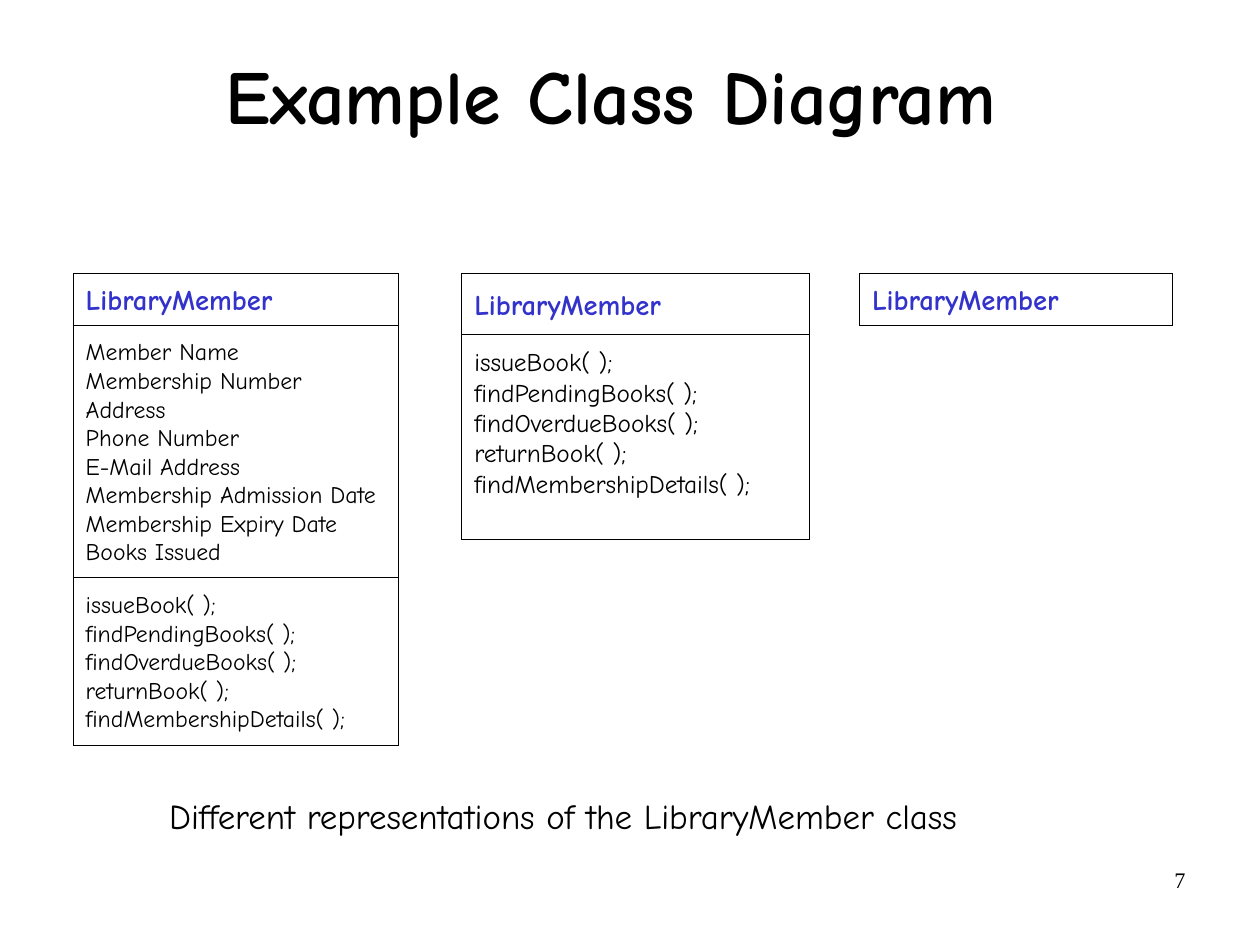
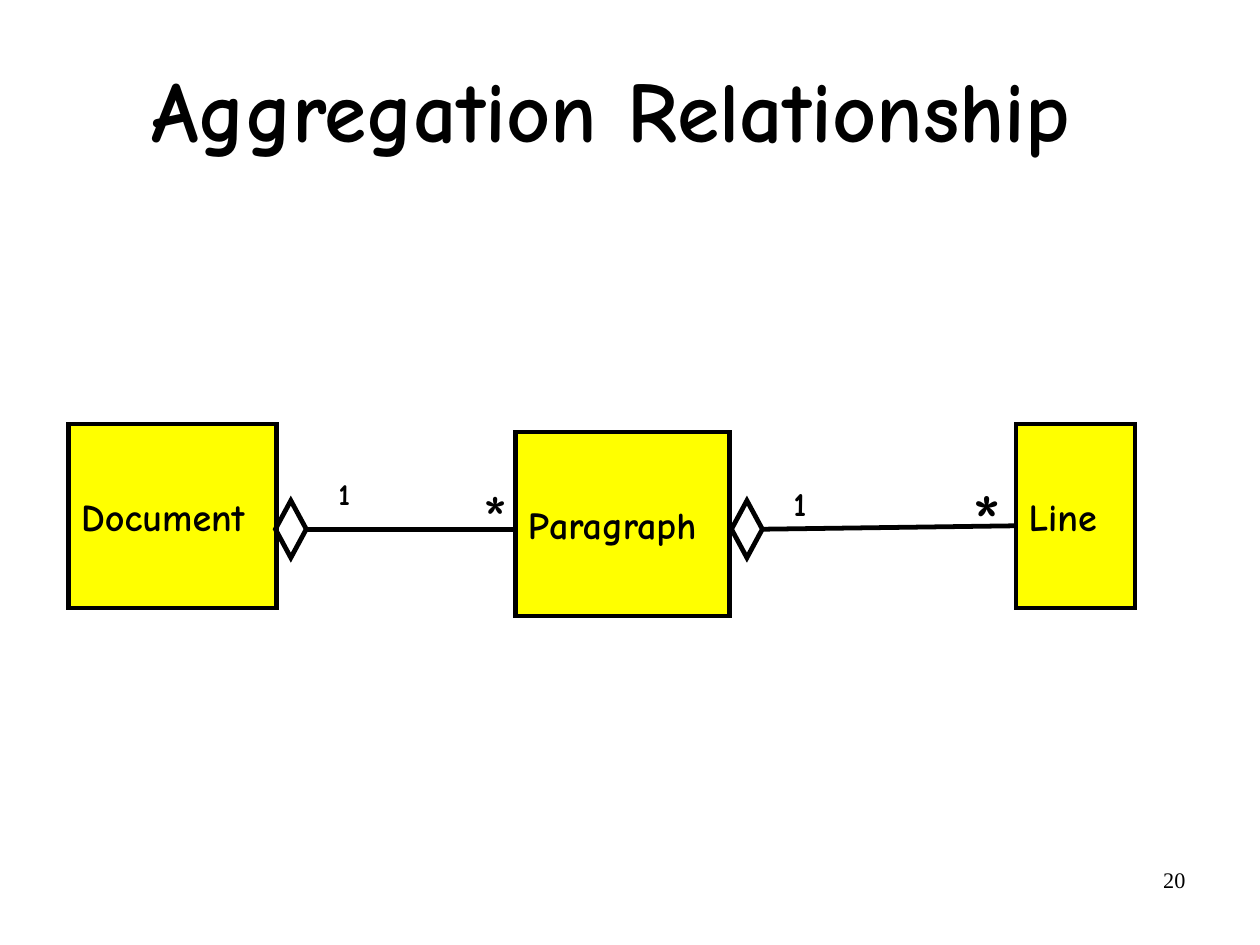
"""Build two slides on UML class diagrams and aggregation."""
from dataclasses import dataclass

from lxml import etree
from pptx import Presentation
from pptx.dml.color import RGBColor
from pptx.enum.shapes import MSO_CONNECTOR as Connector, MSO_SHAPE as Preset
from pptx.enum.text import MSO_ANCHOR as Anchor, PP_ALIGN as Align
from pptx.oxml.ns import qn
from pptx.slide import Slide
from pptx.text.text import TextFrame
from pptx.util import Inches, Pt

COLORS = {"ink": "000000", "class_name": "3333CC", "entity": "FFFF00"}
COMIC = "Comic Neue"
SERIF = "Times New Roman"
CM_PER_INCH = 2.54
PAGE_CM = (28, 21)
BOX_INSETS = (0.11, 0.06, 0.11, 0.06)
NO_INSETS = (0, 0, 0, 0)
CLASS_TOP = 2.39
THIN, THICK = 0.75, 3

ATTRIBUTES = (
    "Member Name",
    "Membership Number",
    "Address",
    "Phone Number",
    "E-Mail Address",
    "Membership Admission Date",
    "Membership Expiry Date",
    "Books Issued",
)
OPERATIONS = (
    "issueBook( );",
    "findPendingBooks( );",
    "findOverdueBooks( );",
    "returnBook( );",
    "findMembershipDetails( );",
)


@dataclass(frozen=True)
class Area:
    """A rectangle in inches."""
    left: float
    top: float
    width: float
    height: float

    def lengths(self) -> tuple[Inches, ...]:
        """Return left, top, width and height as lengths."""
        return tuple(Inches(v) for v in (self.left, self.top, self.width, self.height))


@dataclass(frozen=True)
class TextStyle:
    """The look of a block of text."""
    size: float
    bold: bool = False
    color: str = "ink"
    font: str = COMIC
    align: Align = Align.LEFT
    anchor: Anchor = Anchor.TOP
    insets: tuple[float, ...] = BOX_INSETS
    wrap: bool = True
    line_spacing: float = 1.0


@dataclass(frozen=True)
class Compartment:
    """One section of a class box."""
    height: float
    lines: tuple[str, ...]
    style: TextStyle


@dataclass(frozen=True)
class ClassBox:
    """A class drawn as stacked compartments."""
    left: float
    width: float
    compartments: tuple[Compartment, ...]


@dataclass(frozen=True)
class Entity:
    """A filled box in the aggregation chain."""
    name: str
    area: Area


@dataclass(frozen=True)
class Aggregation:
    """A diamond, its line and the multiplicities at both ends."""
    diamond_left: float
    line_start: tuple[float, float]
    line_end: tuple[float, float]
    one: Area
    one_size: float
    many: Area
    many_size: float


def class_name(height: float) -> Compartment:
    """Return the compartment that names the class."""
    style = TextStyle(18, bold=True, color="class_name", anchor=Anchor.MIDDLE)
    return Compartment(height, ("LibraryMember",), style)


def members(height: float, lines: tuple[str, ...], size: float,
            bottom: float = 0.06) -> Compartment:
    """Return a compartment of attributes or operations."""
    style = TextStyle(size, anchor=Anchor.MIDDLE, insets=(0.11, 0.06, 0.11, bottom))
    return Compartment(height, lines, style)


CLASS_BOXES = (
    ClassBox(0.64, 2.85, (class_name(0.46), members(2.2, ATTRIBUTES, 15),
                          members(1.47, OPERATIONS, 15))),
    ClassBox(4.04, 3.04, (class_name(0.54), members(1.79, OPERATIONS, 16, 0.32))),
    ClassBox(7.52, 2.74, (class_name(0.46),)),
)
ENTITIES = (
    Entity("Document", Area(0.6, 3.71, 1.82, 1.61)),
    Entity("Paragraph", Area(4.51, 3.78, 1.87, 1.61)),
    Entity("Line", Area(8.89, 3.71, 1.04, 1.61)),
)
AGGREGATIONS = (
    Aggregation(2.41, (2.68, 4.63), (4.51, 4.63), Area(2.96, 4.16, 0.1, 0.32), 19,
                Area(4.22, 4.17, 0.23, 0.7), 42),
    Aggregation(6.4, (6.68, 4.63), (8.89, 4.6), Area(6.94, 4.23, 0.12, 0.35), 21,
                Area(8.5, 4.13, 0.27, 0.84), 50),
)


def rgb(key: str) -> RGBColor:
    """Look up a named colour."""
    return RGBColor.from_string(COLORS[key])


def write(frame: TextFrame, lines: tuple[str, ...], style: TextStyle) -> None:
    """Fill a text frame with one paragraph per line."""
    frame.word_wrap = style.wrap
    frame.vertical_anchor = style.anchor
    (frame.margin_left, frame.margin_top,
     frame.margin_right, frame.margin_bottom) = (Inches(v) for v in style.insets)
    frame.text = "\n".join(lines)
    for paragraph in frame.paragraphs:
        paragraph.alignment = style.align
        paragraph.line_spacing = style.line_spacing
        font = paragraph.font
        font.name, font.size, font.bold = style.font, Pt(style.size), style.bold
        font.color.rgb = rgb(style.color)


def add_text(slide: Slide, area: Area, text: str, style: TextStyle) -> None:
    """Add a one-line text box."""
    write(slide.shapes.add_textbox(*area.lengths()).text_frame, (text,), style)


def add_outline(slide: Slide, preset: Preset, area: Area, weight: float,
                fill: str | None = None) -> TextFrame:
    """Add a sharp-cornered outlined shape and return its text frame."""
    outline = slide.shapes.add_shape(preset, *area.lengths())
    outline.shadow.inherit = False
    if fill:
        outline.fill.solid()
        outline.fill.fore_color.rgb = rgb(fill)
    else:
        outline.fill.background()
    outline.line.color.rgb = rgb("ink")
    outline.line.width = Pt(weight)
    border = outline._element.spPr.find(qn("a:ln"))
    etree.SubElement(border, qn("a:miter"), lim="800000")
    return outline.text_frame


def add_class_box(slide: Slide, box: ClassBox) -> None:
    """Stack the compartments of a class box."""
    top = CLASS_TOP
    for part in box.compartments:
        area = Area(box.left, top, box.width, part.height)
        write(add_outline(slide, Preset.RECTANGLE, area, THIN), part.lines, part.style)
        top += part.height


def add_aggregation(slide: Slide, link: Aggregation) -> None:
    """Draw an aggregation with its multiplicities."""
    diamond = Area(link.diamond_left, 4.38, 0.27, 0.5)
    add_outline(slide, Preset.FLOWCHART_DECISION, diamond, THICK)
    ends = (Inches(v) for v in link.line_start + link.line_end)
    line = slide.shapes.add_connector(Connector.STRAIGHT, *ends)
    line.line.color.rgb = rgb("ink")
    line.line.width = Pt(THICK)
    etree.SubElement(line._element.spPr, qn("a:effectLst"))
    add_text(slide, link.one, "1",
             TextStyle(link.one_size, bold=True, insets=NO_INSETS, wrap=False))
    add_text(slide, link.many, "*",
             TextStyle(link.many_size, insets=NO_INSETS, wrap=False))


def add_page(deck: Presentation, number: int, title: str, title_top: float,
             title_height: float, title_size: float) -> Slide:
    """Add a slide with its title and page number."""
    slide = deck.slides.add_slide(deck.slide_layouts[6])
    add_text(slide, Area(7.9, 7.53, 2.57, 0.57), str(number),
             TextStyle(14, font=SERIF, align=Align.RIGHT, insets=(0.1, 0.05, 0.1, 0.05)))
    add_text(slide, Area(0.46, title_top, 9.77, title_height), title,
             TextStyle(title_size, bold=True, align=Align.CENTER, anchor=Anchor.MIDDLE,
                       insets=(0.02, 0.06, 0.02, 0.06), line_spacing=0.94))
    return slide


def main() -> None:
    """Build and save the slides."""
    deck = Presentation()
    deck.slide_width, deck.slide_height = (Inches(v / CM_PER_INCH) for v in PAGE_CM)

    classes = add_page(deck, 7, "Example Class Diagram", 0.18, 1.37, 48)
    add_text(classes, Area(1.37, 6.89, 7.15, 0.48),
             "Different representations of the LibraryMember class",
             TextStyle(22, wrap=False))
    for box in CLASS_BOXES:
        add_class_box(classes, box)

    chain = add_page(deck, 20, "Aggregation Relationship", 0.09, 1.8, 54)
    entity_style = TextStyle(24, bold=True, anchor=Anchor.MIDDLE)
    for entity in ENTITIES:
        frame = add_outline(chain, Preset.RECTANGLE, entity.area, THICK, "entity")
        write(frame, (entity.name,), entity_style)
    for link in AGGREGATIONS:
        add_aggregation(chain, link)

    deck.save("out.pptx")


if __name__ == "__main__":
    main()
